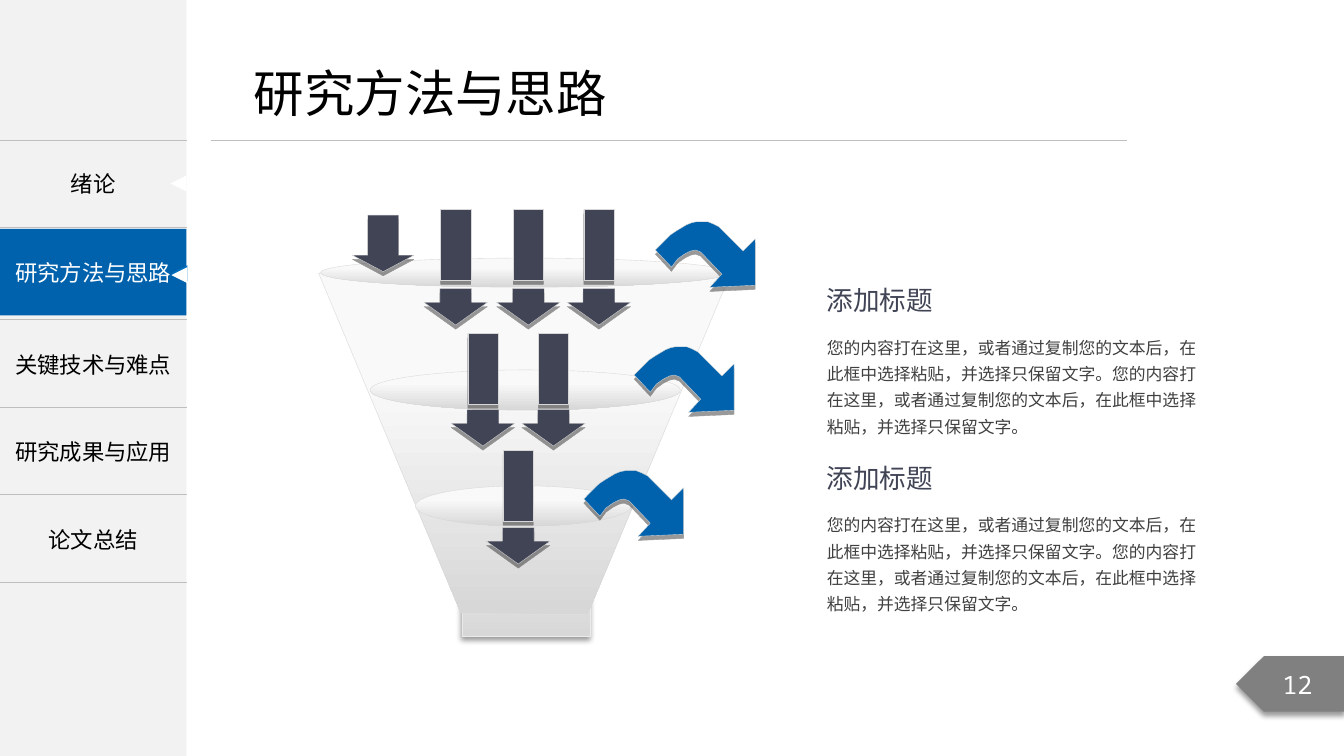
from lxml import etree
from pptx import Presentation
from pptx import util as u
from pptx.dml.color import RGBColor
from pptx.enum import shapes, text
from pptx.oxml import parse_xml
from pptx.oxml.ns import nsdecls, qn

HUES = {
    "white": "FFFFFF", "black": "000000", "pane": "F2F2F2", "rule": "BFBFBF",
    "blue": "0062AC", "tip": "0070C0", "slate": "414455", "body": "404040",
    "gray": "808080", "edge": "D7D7D7", "rim": "EAEAEA", "pale": "F9F9F9",
}
SANS = "Noto Sans CJK SC"
MONO = "Noto Sans Mono"
KIND = shapes.MSO_SHAPE
MID = text.MSO_ANCHOR.MIDDLE
BARE = "{2D5ABB26-0587-4C30-8999-92F81FD0307C}"


def inch(size):
    return u.Cm(size * 2.54)


def hue(name):
    return RGBColor.from_string(HUES[name])


class Page:
    def __init__(self, deck):
        self.slide = deck.slides.add_slide(deck.slide_layouts[6])
        self.host = self.slide.shapes

    def group(self):
        self.host = self.slide.shapes.add_group_shape().shapes

    def root(self):
        self.host = self.slide.shapes

    def paint(self, item, fill, line=None, blur=None):
        if fill == "fade":
            item.fill.gradient()
            item.fill.gradient_angle = 270
            stops = item.fill.gradient_stops
            for stop, place, name in zip(stops, (0.33, 1), ("pale", "edge")):
                stop.position = place
                stop.color.rgb = hue(name)
        else:
            item.fill.solid()
            item.fill.fore_color.rgb = hue(fill)
        if line:
            item.line.color.rgb = hue(line)
            item.line.width = u.Pt(0.25)
        else:
            item.line.fill.background()
        item.shadow.inherit = False
        if blur is not None:
            glow = item.element.spPr.find(qn("a:effectLst"))
            glow.append(parse_xml(
                f'<a:outerShdw {nsdecls("a")} blurRad="{u.Pt(blur)}" dist="{u.Pt(3)}" '
                'dir="5400000" algn="t" rotWithShape="0"><a:srgbClr val="000000">'
                '<a:alpha val="40000"/></a:srgbClr></a:outerShdw>'))
        return item

    def shape(self, kind, box, fill, line=None, blur=None, turn=0, flip=False):
        item = self.host.add_shape(kind, *map(inch, box))
        item.rotation = turn
        if flip:
            item.element.spPr.find(qn("a:xfrm")).set("flipH", "1")
        return self.paint(item, fill, line, blur)

    def free(self, spot, dots, fill, line, blur=None):
        pen = self.host.build_freeform(*dots[0], scale=inch(0.01))
        pen.add_line_segments(dots[1:], close=True)
        return self.paint(pen.convert_to_shape(*map(inch, spot)), fill, line, blur)

    def arrow(self, box, head):
        item = self.shape(KIND.RIGHT_ARROW, box, "slate", "edge", 0, 270, True)
        item.adjustments[0] = 0.5
        item.adjustments[1] = head

    def line(self, x, y, end):
        item = self.host.add_connector(
            shapes.MSO_CONNECTOR.STRAIGHT, inch(x), inch(y), inch(end), inch(y))
        item.line.color.rgb = hue("rule")
        item.line.width = u.Pt(0.5)
        etree.SubElement(item.element.spPr, qn("a:effectLst"))

    def words(self, frame, copy, size, color, font=SANS, center=False, lead=None):
        para = frame.paragraphs[0]
        para.alignment = text.PP_ALIGN.CENTER if center else text.PP_ALIGN.LEFT
        if lead:
            para.line_spacing = lead
        run = para.add_run()
        run.text = copy
        run.font.size = u.Pt(size)
        run.font.name = font
        run.font.color.rgb = hue(color)
        etree.SubElement(run.font._element, qn("a:ea")).set("typeface", font)

    def label(self, item, copy, size, color, font=SANS):
        item.text_frame.word_wrap = True
        item.text_frame.vertical_anchor = MID
        self.words(item.text_frame, copy, size, color, font, True)

    def box(self, box, copy, size, color, lead=None, wrap=True, pad=(0.12, 0.06)):
        frame = self.host.add_textbox(*map(inch, box)).text_frame
        frame.word_wrap = wrap
        frame.auto_size = text.MSO_AUTO_SIZE.SHAPE_TO_FIT_TEXT
        frame.margin_left = frame.margin_right = inch(pad[0])
        frame.margin_top = frame.margin_bottom = inch(pad[1])
        self.words(frame, copy, size, color, lead=lead)

    def menu(self, box, rows):
        item = self.host.add_table(len(rows), 1, *map(inch, box))
        grid = item.table
        grid.first_row = grid.horz_banding = False
        next(item._element.iter(qn("a:tableStyleId"))).text = BARE
        for row, (high, copy) in zip(grid.rows, rows):
            row.height = inch(high)
            cell = row.cells[0]
            cell.fill.background()
            cell.vertical_anchor = MID
            for spot, side in enumerate(("lnT", "lnB")):
                cell._tc.get_or_add_tcPr().insert(spot, parse_xml(
                    f'<a:{side} {nsdecls("a")} w="{u.Pt(1)}"><a:solidFill>'
                    f'<a:srgbClr val="{HUES["rule"]}"/></a:solidFill></a:{side}>'))
            if copy:
                self.words(cell.text_frame, copy, 16, "black", center=True)


def frame(page):
    page.shape(KIND.RECTANGLE, (0, 0, 1.85, 7.5), "pane")
    page.line(2.09, 1.39, 11.18)
    page.box((2.42, 0.57, 3.74, 0.71), "研究方法与思路", 36, "black",
             wrap=False, pad=(0.1, 0.05))
    plate = page.shape(KIND.PENTAGON, (12.26, 6.51, 1.08, 0.55), "gray", blur=4, flip=True)
    page.label(plate, "12", 18, "white", MONO)
    page.menu((0, 1.39, 1.85, 4.37), [
        (0.87, ""), (0.91, ""), (0.87, "关键技术与难点"),
        (0.87, "研究成果与应用"), (0.87, "论文总结")])
    page.group()
    intro = page.host.add_textbox(*map(inch, (0, 1.39, 1.85, 0.86)))
    page.label(intro, "绪论", 16, "black")
    page.shape(KIND.ISOSCELES_TRIANGLE, (1.69, 1.74, 0.16, 0.16), "white", turn=270)
    page.group()
    tab = page.shape(KIND.RECTANGLE, (0, 2.27, 1.85, 0.86), "blue")
    page.label(tab, "研究方法与思路", 16, "white")
    for y, color in ((2.63, "tip"), (2.65, "white")):
        page.shape(KIND.ISOSCELES_TRIANGLE, (1.7, y, 0.16, 0.16), color, turn=270)
    page.root()


def funnel(page):
    page.group()
    page.shape(KIND.RECTANGLE, (4.58, 4.55, 1.27, 1.76), "fade", "rim", 4)
    page.free((3.16, 2.71), [(0, 0), (141, 337), (267, 338), (408, 2)], "fade", "edge")
    for ring in ((3.18, 2.56, 4.05, 0.29), (3.67, 3.67, 3.08, 0.4), (4.12, 4.82, 2.14, 0.4)):
        page.shape(KIND.OVAL, ring, "fade", "edge")
    page.root()
    bend = [
        (99, 17), (99, 63), (54, 65), (66, 52), (45, 30), (40, 28), (35, 29), (29, 32),
        (22, 37), (16, 45), (0, 28), (11, 17), (15, 13), (21, 9), (26, 6), (31, 3),
        (36, 1), (41, 0), (47, 0), (52, 0), (57, 2), (63, 5), (66, 8), (87, 29)]
    for spot in ((6.29, 3.44), (5.79, 4.67), (6.5, 2.2)):
        page.free(spot, bend, "blue", "edge", 0)
    tiers = ((2.08, 2.73, (4.37, 5.09, 5.79)), (3.31, 3.93, (4.64, 5.34)), (4.47, 5.1, (4.99,)))
    for top, head, lefts in tiers:
        for x in lefts:
            page.arrow((x - 0.03, head, 0.36, 0.63), 0.625)
            page.shape(KIND.RECTANGLE, (x, top, 0.3, 0.7), "slate", "edge", 0)


def notes(page):
    half = "您的内容打在这里，或者通过复制您的文本后，在此框中选择粘贴，并选择只保留文字。"
    for top, high in ((2.76, 1.41), (4.52, 1.14)):
        page.box((8.08, top, 3.91, 0.44), "添加标题", 19, "slate")
        page.box((8.08, top + 0.47, 3.91, high), half * 2, 12, "body", 1.3)


def main():
    deck = Presentation()
    deck.slide_width, deck.slide_height = inch(13.33), inch(7.5)
    page = Page(deck)
    frame(page)
    funnel(page)
    notes(page)
    page.arrow((3.52, 2.11, 0.56, 0.61), 0.29)
    deck.save("out.pptx")


if __name__ == "__main__":
    main()
